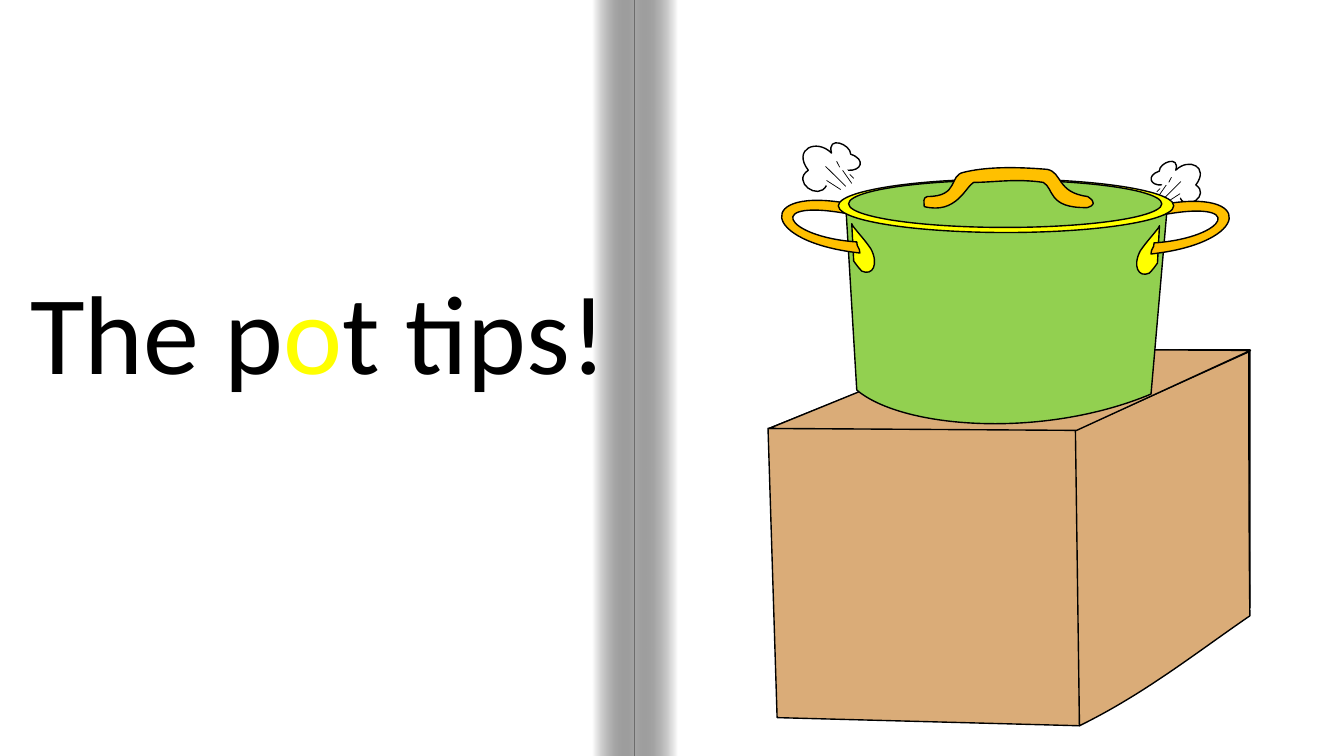
from lxml import etree
from pptx import Presentation
from pptx.dml.color import RGBColor
from pptx.enum.shapes import MSO_CONNECTOR as CONN, MSO_SHAPE as SHAPE
from pptx.enum.text import MSO_ANCHOR as ANCHOR, PP_ALIGN as ALIGN
from pptx.oxml.ns import qn
from pptx.util import Pt

BLACK = RGBColor(0x00, 0x00, 0x00)
WHITE = RGBColor(0xFF, 0xFF, 0xFF)
YELLOW = RGBColor(0xFF, 0xFF, 0x00)
ORANGE = RGBColor(0xFF, 0xC0, 0x00)
GREEN = RGBColor(0x92, 0xD0, 0x50)
CARTON = RGBColor(0xDA, 0xAC, 0x78)
CARTON_DARK = RGBColor(0xA6, 0x72, 0x42)

WIDTH, HEIGHT = 960, 540
FOLD_X, FOLD_W = 453.4, 30.2
SAME = (1, 0, 1, 0)  # x scale, x shift, y scale, y shift


def place(fit, x, y):
    kx, dx, ky, dy = fit
    return kx * x + dx, ky * y + dy


def extent(segs, steps=40):
    """Left, top, right and bottom of an outline with cubic curves."""
    points = [segs[0][0]]
    for seg in segs[1:]:
        if len(seg) == 3:
            ctrl = [points[-1], *seg]
            for i in range(1, steps):
                t = i / steps
                weights = ((1 - t) ** 3, 3 * t * (1 - t) ** 2, 3 * t * t * (1 - t), t ** 3)
                points.append([sum(w * c[k] for w, c in zip(weights, ctrl)) for k in (0, 1)])
        points.append(seg[-1])
    xs, ys = zip(*points)
    return min(xs), min(ys), max(xs), max(ys)


class Page:
    font = "Calibri"
    outline = 1

    def __init__(self, prs):
        self.slide = prs.slides.add_slide(prs.slide_layouts[6])
        self.shapes = self.slide.shapes
        fill = self.slide.background.fill
        fill.solid()
        fill.fore_color.rgb = BLACK

    def paint(self, sp, color, outlined=True):
        sp.shadow.inherit = False
        sp.fill.solid()
        sp.fill.fore_color.rgb = color
        if outlined:
            sp.line.color.rgb = BLACK
            sp.line.width = Pt(self.outline)
        else:
            sp.line.fill.background()

    def preset(self, kind, x, y, w, h, color, outlined=True):
        sp = self.shapes.add_shape(kind, Pt(x), Pt(y), Pt(w), Pt(h))
        self.paint(sp, color, outlined)
        return sp

    def shade(self, x, angle):
        sp = self.preset(SHAPE.RECTANGLE, x, 0, FOLD_W, HEIGHT, WHITE, False)
        sp.fill.gradient()
        sp.fill.gradient_angle = angle
        for stop, color in zip(sp.fill.gradient_stops, (WHITE, BLACK)):
            stop.color.rgb = color
        dark = sp._element.spPr.findall(".//" + qn("a:srgbClr"))[-1]
        etree.SubElement(dark, qn("a:alpha")).set("val", "34000")

    def outline_shape(self, path, color, fit=SAME):
        """Draw a closed outline of points and cubic curves (six numbers)."""
        segs = [[place(fit, *seg[i:i + 2]) for i in range(0, len(seg), 2)] for seg in path]
        if segs[-1][-1] != segs[0][0]:
            segs.append(segs[0])
        builder = self.shapes.build_freeform(*(Pt(v) for v in segs[0][0]))
        builder.add_line_segments([[Pt(v) for v in seg[-1]] for seg in segs[1:]])
        sp = builder.convert_to_shape()
        left, top, right, bottom = extent(segs)
        sp.left, sp.top = Pt(left), Pt(top)
        sp.width, sp.height = Pt(right - left), Pt(bottom - top)

        # Put the curves into the geometry
        geom = sp._element.spPr.find(".//" + qn("a:pathLst"))[0]
        geom.set("w", str(sp.width))
        geom.set("h", str(sp.height))
        for node in list(geom):
            geom.remove(node)
        for i, seg in enumerate(segs):
            tag = "a:moveTo" if i == 0 else "a:cubicBezTo" if len(seg) == 3 else "a:lnTo"
            node = etree.SubElement(geom, qn(tag))
            for x, y in seg:
                pt = etree.SubElement(node, qn("a:pt"))
                pt.set("x", str(Pt(x - left)))
                pt.set("y", str(Pt(y - top)))
        etree.SubElement(geom, qn("a:close"))
        self.paint(sp, color)

    def line(self, x1, y1, x2, y2, color, width, fit=SAME):
        ends = place(fit, x1, y1) + place(fit, x2, y2)
        cn = self.shapes.add_connector(CONN.STRAIGHT, *(Pt(v) for v in ends))
        cn.line.color.rgb = color
        cn.line.width = Pt(width)
        etree.SubElement(cn._element.spPr, qn("a:effectLst"))

    def text(self, x, y, w, h, size, runs):
        tf = self.shapes.add_textbox(Pt(x), Pt(y), Pt(w), Pt(h)).text_frame
        tf.word_wrap = True
        tf.vertical_anchor = ANCHOR.TOP
        p = tf.paragraphs[0]
        p.alignment = ALIGN.CENTER
        for words, color in runs:
            r = p.add_run()
            r.text = words
            r.font.name = self.font
            r.font.size = Pt(size)
            r.font.color.rgb = color


# Carton faces, from back to front
CARTON_FACES = [
    ([(689, 249.8), (892.8, 249.8), (892.8, 434.2), (694.8, 429.1)], CARTON_DARK),
    ([(549.4, 306), (689, 249.8), (697.7, 437),
      (658.8, 463.7, 605.5, 487.4, 558.7, 510.5)], CARTON_DARK),
    ([(548.6, 306), (771.1, 306), (771.1, 518.4), (555.1, 512.6)], CARTON),
    ([(768.2, 307.4), (892.1, 251.3), (892.1, 313.9, 892.1, 377.3, 892.8, 439.9),
      (853.9, 466.6, 817.9, 495.4, 771.1, 518.4)], CARTON),
    ([(689, 249.1), (893.2, 250.3), (769, 307.4), (549.4, 306)], CARTON),
]

# Steam puff: cloud and strokes
CLOUD = [(577.4, 121.7), (565.9, 106.6, 583.2, 98.6, 594, 109.4),
         (590.4, 96.5, 607.7, 103, 607.7, 110.2),
         (618.5, 113.8, 615.6, 122.4, 605.5, 121.7), (590.4, 132.5),
         (584.6, 144, 565.2, 129.6, 577.4, 121.7)]
STROKES = [
    (597.6, 115.2, 599.8, 119.5, BLACK, 0.5),
    (590.4, 132.5, 605.5, 121.7, WHITE, 4.5),
    (589.7, 118.8, 604.1, 133.2, BLACK, 0.5),
    (590.4, 128.9, 600.5, 135.4, BLACK, 0.5),
    (607, 124.6, 609.8, 127.4, BLACK, 0.5),
    (601.9, 121.7, 608.4, 131, BLACK, 0.5),
]
RIGHT_PUFF = (-0.86, 1350.7, 0.86, 27.5)

# Pot parts
BODY = [(604.1, 146.2), (833.8, 147.6), (822.2, 281.5),
        (744.5, 313.9, 644.4, 306, 612, 278.6)]
PLATE = [(608.4, 159.8), (609.8, 186.5), (611.3, 188.6, 613.4, 191.5, 615.6, 193.7),
         (623.5, 197.3, 627.8, 188.6, 622.1, 177.8),
         (617.8, 171.4, 613.4, 167, 609.1, 161.3)]
HANDLE = [(609.1, 153.4), (607.7, 149, 607, 149.8, 606.2, 145.4),
          (540, 133.2, 542.2, 172.8, 614.2, 180.7),
          (614.2, 176.4, 612, 177.1, 612, 172.8),
          (559.4, 169.2, 544.3, 140.4, 609.1, 153.4)]
RIGHT_PLATE = (-1, 1436.6, 1, 1.4)
RIGHT_HANDLE = (-1, 1436.4, 1, 0.7)
LID_GRIP = [(662.4, 140.4), (685.4, 140.4, 677.5, 125.3, 688.3, 123.1),
            (702.7, 119.5, 722.2, 118.8, 748.1, 121),
            (758.9, 123.1, 754.6, 137.5, 776.9, 140.4),
            (783.4, 144.7, 781.2, 146.9, 776.9, 148.3),
            (748.1, 149, 753.1, 134.6, 745.2, 130.3),
            (725.8, 127.4, 709.9, 130.3, 695.5, 130.3),
            (689.8, 133.2, 683.3, 153.4, 660.2, 147.6),
            (660.2, 144.7, 658.8, 141.1, 662.4, 140.4)]


def main():
    prs = Presentation()
    prs.slide_width, prs.slide_height = Pt(WIDTH), Pt(HEIGHT)
    page = Page(prs)

    # Open book with a shaded fold
    page.preset(SHAPE.RECTANGLE, 0, 0, WIDTH, HEIGHT, WHITE, outlined=False)
    page.shade(FOLD_X, 180)
    page.shade(FOLD_X - FOLD_W, 0)

    # Sentence
    page.text(1.4, 184, 452.2, 104.4, 80,
              [("The p", BLACK), ("o", YELLOW), ("t tips!", BLACK)])

    # Carton
    for face, color in CARTON_FACES:
        page.outline_shape(face, color)

    # Steam
    for fit in (SAME, RIGHT_PUFF):
        page.outline_shape(CLOUD, WHITE, fit)
        for stroke in STROKES:
            page.line(*stroke, fit)

    # Pot
    page.outline_shape(BODY, GREEN)
    for plate_fit, handle_fit in ((RIGHT_PLATE, RIGHT_HANDLE), (SAME, SAME)):
        page.outline_shape(PLATE, YELLOW, plate_fit)
        page.outline_shape(HANDLE, ORANGE, handle_fit)
    page.preset(SHAPE.OVAL, 598.8, 127.9, 239.6, 38.2, YELLOW)
    page.preset(SHAPE.OVAL, 606.2, 128.7, 223.7, 33.8, GREEN)
    page.outline_shape(LID_GRIP, ORANGE)

    prs.save("out.pptx")


if __name__ == "__main__":
    main()
